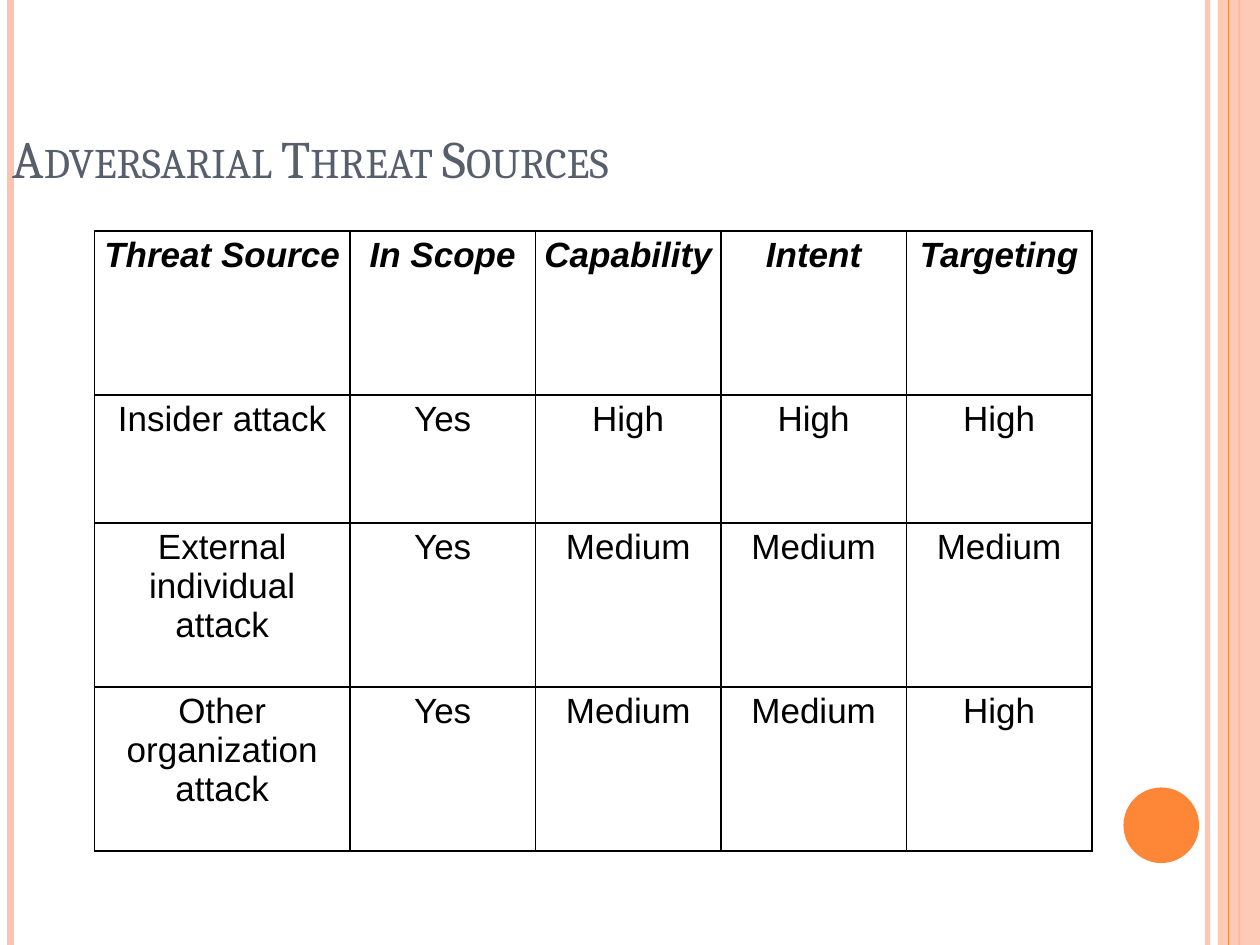
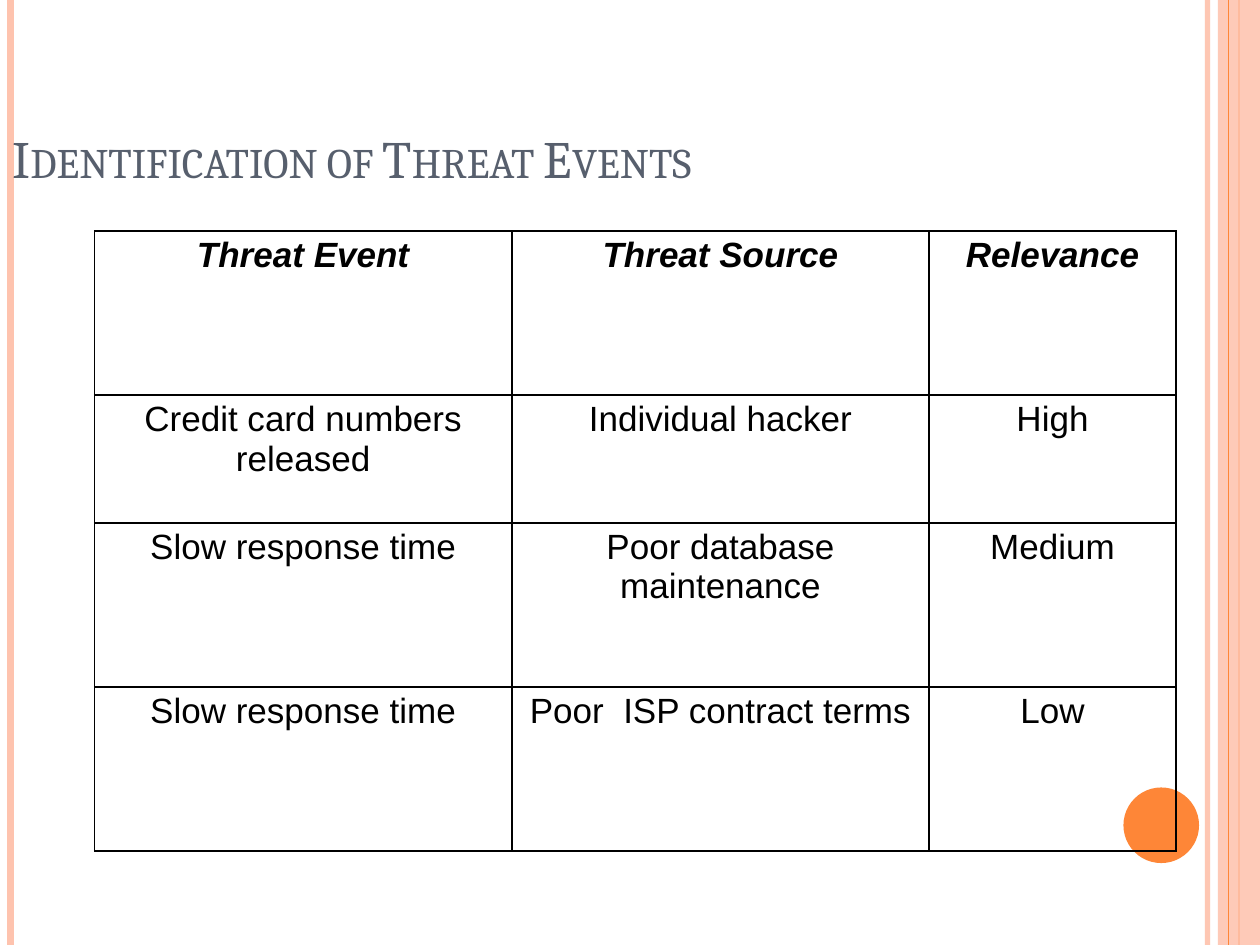
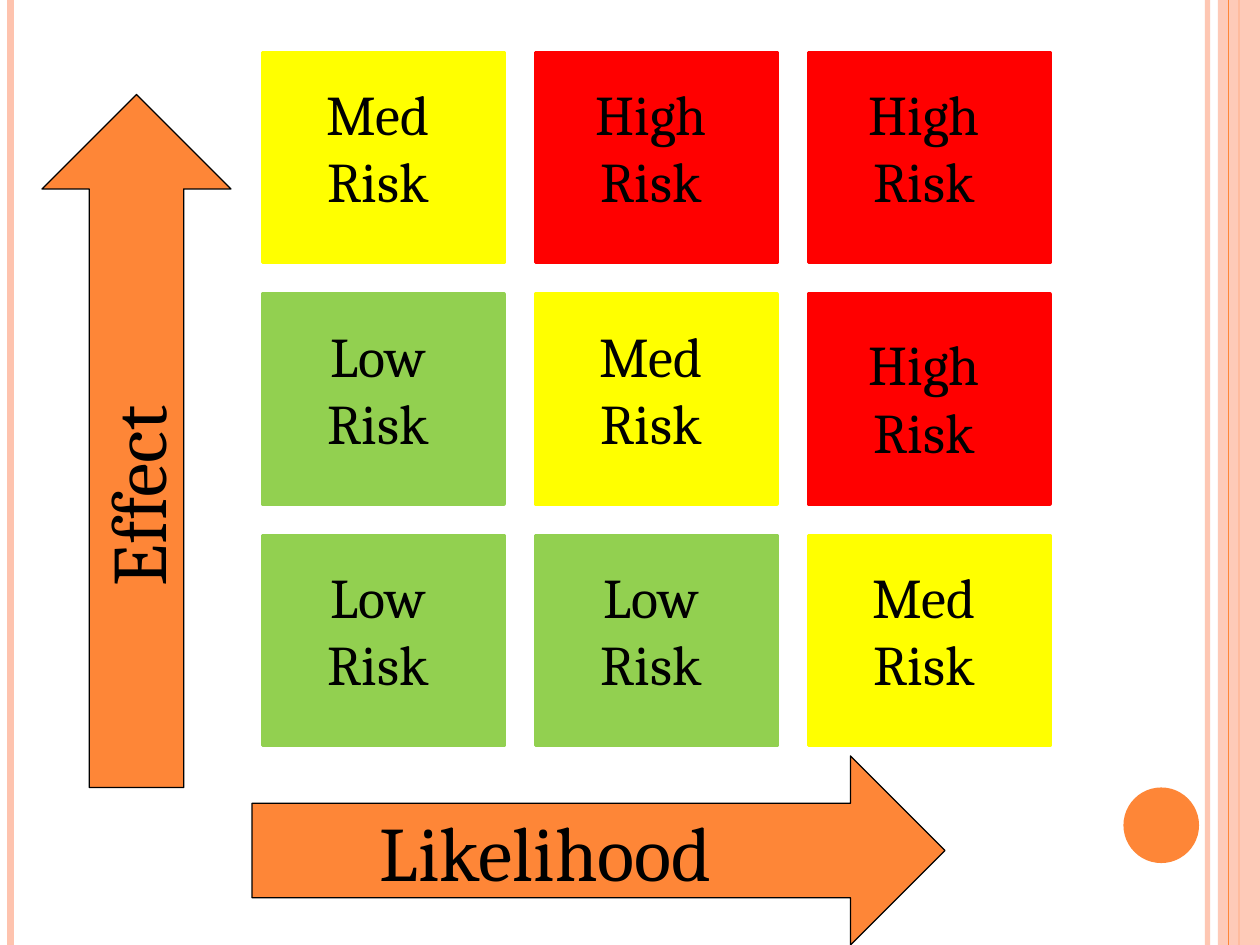
from dataclasses import dataclass

from lxml import etree
from pptx import Presentation
from pptx.dml.color import RGBColor
from pptx.enum.shapes import MSO_CONNECTOR, MSO_SHAPE as Shape
from pptx.enum.text import MSO_ANCHOR as Anchor, PP_ALIGN as Align
from pptx.oxml.ns import qn
from pptx.util import Pt


@dataclass(frozen=True)
class Theme:
    text: str = "000000"
    title: str = "575F6D"
    accent: str = "FE8637"
    pale: str = "FEC3AE"
    low: str = "92D050"
    medium: str = "FFFF00"
    high: str = "FF0000"
    heading_font: str = "Cambria"
    table_font: str = "Arial"
    title_size: float = 30
    table_size: float = 20
    risk_size: float = 32
    axis_size: float = 44


THEME = Theme()
WIDTH, HEIGHT = 720, 540
ROW_HEIGHTS = [93.75, 73, 93.75, 93.75]

THREAT_SOURCES = [
    ["Threat Source", "In Scope", "Capability", "Intent", "Targeting"],
    ["Insider attack", "Yes", "High", "High", "High"],
    ["External individual attack", "Yes", "Medium", "Medium", "Medium"],
    ["Other organization attack", "Yes", "Medium", "Medium", "High"],
]
THREAT_EVENTS = [
    ["Threat Event", "Threat Source", "Relevance"],
    ["Credit card numbers released", "Individual hacker", "High"],
    ["Slow response time", "Poor database maintenance", "Medium"],
    ["Slow response time", "Poor  ISP contract terms", "Low"],
]
RISK_LEVELS = [
    ["Med", "High", "High"],
    ["Low", "Med", "High"],
    ["Low", "Low", "Med"],
]


def write_text(frame, text, *, size, font=THEME.heading_font, color=THEME.text,
               align=Align.LEFT, bold=False, italic=False, small_caps=False):
    paragraph = frame.paragraphs[0]
    paragraph.alignment = align
    run = paragraph.add_run()
    run.text = text
    run.font.name = font
    run.font.size = Pt(size)
    run.font.bold = bold
    run.font.italic = italic
    run.font.color.rgb = RGBColor.from_string(color)
    if small_caps:
        run._r.get_or_add_rPr().set("cap", "small")


def set_opacity(shape, percent):
    for color in shape._element.spPr.iter(qn("a:srgbClr")):
        etree.SubElement(color, qn("a:alpha"), val=str(percent * 1000))


def add_borders(cell, color, width):
    properties = cell._tc.get_or_add_tcPr()
    for side in ("lnL", "lnR", "lnT", "lnB"):
        line = etree.SubElement(properties, qn(f"a:{side}"), w=str(Pt(width)))
        fill = etree.SubElement(line, qn("a:solidFill"))
        etree.SubElement(fill, qn("a:srgbClr"), val=color)


class Deck:
    """Holds the presentation, its theme and the slide being built."""

    def __init__(self, theme):
        self.theme = theme
        self.presentation = Presentation()
        self.presentation.slide_width = Pt(WIDTH)
        self.presentation.slide_height = Pt(HEIGHT)
        self.slide = None

    def add_slide(self, title=None):
        theme = self.theme
        layout = self.presentation.slide_layouts[6]
        self.slide = self.presentation.slides.add_slide(layout)
        set_opacity(self.add_rule(690, theme.pale, 3), 93)
        self.add_rule(6, theme.pale, 4.5)
        self.add_rule(708, theme.accent, 1.5)
        band = self.add_shape(Shape.RECTANGLE, 696, 0, 24, HEIGHT, theme.pale)
        set_opacity(band, 87)
        self.add_rule(702, theme.accent, 0.75)
        self.add_shape(Shape.OVAL, 642, 450, 43.2, 43.2, theme.accent)
        if title:
            self.add_text(title, 0, 21.6, 648, 90, anchor=Anchor.BOTTOM,
                          size=theme.title_size, color=theme.title, small_caps=True)

    def add_rule(self, x, color, width):
        """Draw a vertical line over the full slide height."""
        rule = self.slide.shapes.add_connector(
            MSO_CONNECTOR.STRAIGHT, Pt(x), Pt(0), Pt(x), Pt(HEIGHT))
        rule.line.color.rgb = RGBColor.from_string(color)
        rule.line.width = Pt(width)
        etree.SubElement(rule._element.spPr, qn("a:effectLst"))
        return rule

    def add_shape(self, kind, left, top, width, height, fill,
                  line=None, line_width=0.75, rotation=0):
        shape = self.slide.shapes.add_shape(
            kind, Pt(left), Pt(top), Pt(width), Pt(height))
        shape.shadow.inherit = False
        shape.rotation = rotation
        shape.fill.solid()
        shape.fill.fore_color.rgb = RGBColor.from_string(fill)
        if line:
            shape.line.color.rgb = RGBColor.from_string(line)
            shape.line.width = Pt(line_width)
        else:
            shape.line.fill.background()
        return shape

    def add_text(self, text, left, top, width, height,
                 anchor=Anchor.TOP, upward=False, **text_format):
        box = self.slide.shapes.add_textbox(Pt(left), Pt(top), Pt(width), Pt(height))
        frame = box.text_frame
        frame.word_wrap = True
        frame.vertical_anchor = anchor
        if upward:
            frame._txBody.bodyPr.set("vert", "vert270")
        write_text(frame, text, **text_format)

    def add_table(self, rows, column_widths):
        theme = self.theme
        frame = self.slide.shapes.add_table(
            len(rows), len(column_widths), Pt(54), Pt(132),
            Pt(sum(column_widths)), Pt(sum(ROW_HEIGHTS)))
        table = frame.table
        table.first_row = table.horz_banding = False
        for column, width in zip(table.columns, column_widths):
            column.width = Pt(width)
        for row_index, (row, height) in enumerate(zip(table.rows, ROW_HEIGHTS)):
            row.height = Pt(height)
            header = row_index == 0
            for cell, text in zip(row.cells, rows[row_index]):
                cell.margin_left = cell.margin_right = Pt(3)
                cell.margin_top = cell.margin_bottom = Pt(3)
                add_borders(cell, theme.text, 1)
                cell.fill.background()
                write_text(cell.text_frame, text, size=theme.table_size,
                           font=theme.table_font, align=Align.CENTER,
                           bold=header, italic=header)

    def add_axis_arrow(self, left, top, rotation=0):
        self.add_shape(Shape.UP_ARROW, left, top, 108, 396, self.theme.accent,
                       line=self.theme.text, rotation=rotation)

    def add_risk_matrix(self, levels):
        theme = self.theme
        colors = {"Low": theme.low, "Med": theme.medium, "High": theme.high}
        for row_index, row in enumerate(levels):
            for column_index, level in enumerate(row):
                left, top = 150 + 156 * column_index, 30 + 138 * row_index
                color = colors[level]
                self.add_shape(Shape.RECTANGLE, left, top, 138, 120, color,
                               line=color, line_width=2)
                # The right-hand label of the middle row sits a little lower.
                drop = 17 if (row_index, column_index) == (1, 2) else 12
                self.add_text(f"{level} Risk", left + 18, top + drop, 96, 85,
                              size=theme.risk_size, align=Align.CENTER)


def main():
    deck = Deck(THEME)

    deck.add_slide("Adversarial Threat Sources")
    deck.add_table(THREAT_SOURCES, [146] + [106] * 4)

    deck.add_slide("Identification of Threat Events")
    deck.add_table(THREAT_EVENTS, [238.5, 238.5, 141])

    deck.add_slide()
    deck.add_axis_arrow(24, 54)
    deck.add_axis_arrow(288, 288, rotation=90)
    deck.add_text("Likelihood", 162, 456, 300, 60,
                  size=THEME.axis_size, align=Align.CENTER)
    deck.add_text("Effect", 44, 102, 67.5, 240, anchor=Anchor.MIDDLE,
                  upward=True, size=THEME.axis_size)
    deck.add_risk_matrix(RISK_LEVELS)

    deck.presentation.save("out.pptx")


if __name__ == "__main__":
    main()
